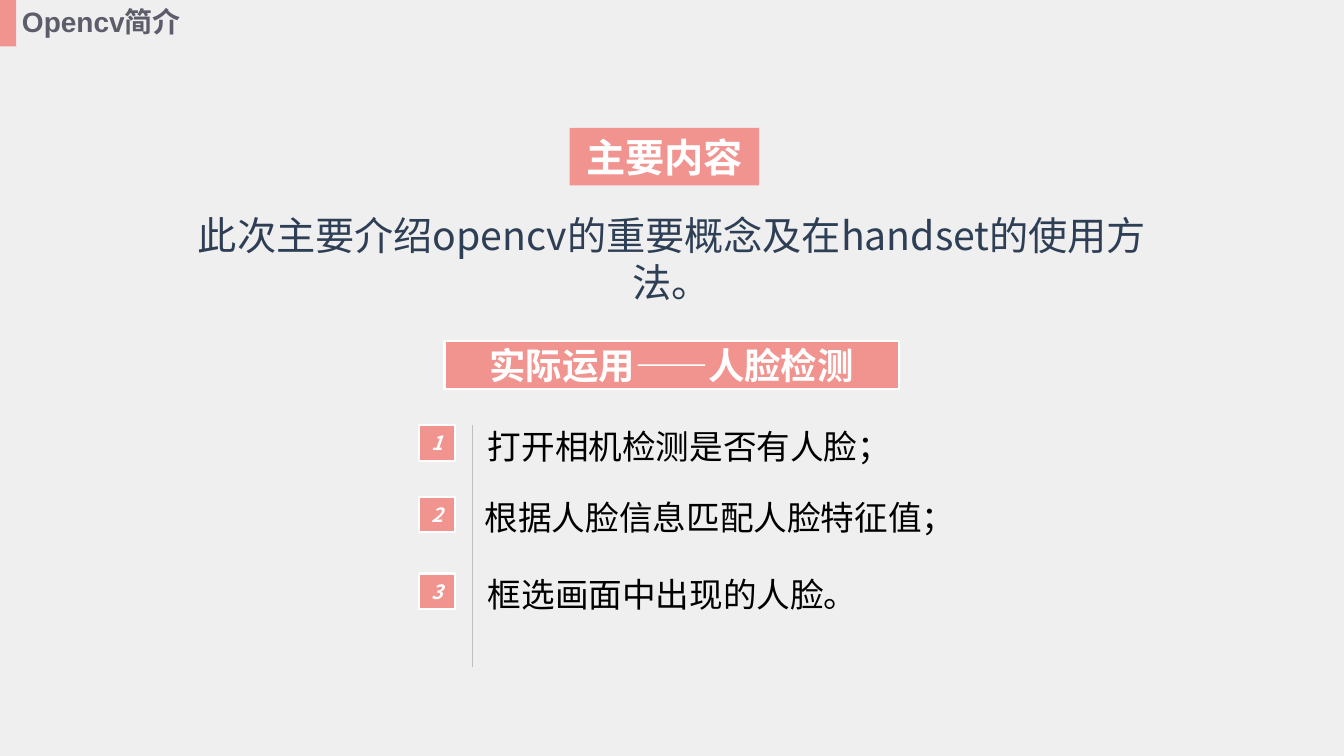
from lxml import etree
from pptx import Presentation
from pptx.dml.color import RGBColor
from pptx.enum.shapes import MSO_CONNECTOR, MSO_SHAPE
from pptx.enum.text import MSO_ANCHOR, PP_ALIGN
from pptx.oxml.ns import qn
from pptx.util import Inches, Pt

RECT = MSO_SHAPE.RECTANGLE
LINE = MSO_CONNECTOR.STRAIGHT
TOP, MIDDLE = MSO_ANCHOR.TOP, MSO_ANCHOR.MIDDLE
LEFT, CENTER = PP_ALIGN.LEFT, PP_ALIGN.CENTER

WIDE, HIGH = Inches(13.33), Inches(7.5)
SANS = "Noto Sans CJK SC"
COLORS = {
    "back": "EFEFEF",
    "coral": "F19490",
    "white": "FFFFFF",
    "title": "5C5C6A",
    "navy": "2E3F55",
    "rule": "BFBFBF",
    "black": "000000",
}
STEPS = [
    ("打开相机检测是否有人脸；", 35.56, 56.27),
    ("根据人脸信息匹配人脸特征值；", 35.33, 65.73),
    ("框选画面中出现的人脸。", 35.56, 75.87),
]


def color(name):
    return RGBColor.from_string(COLORS[name])


def across(share):
    return round(WIDE * share / 100)


def down(share):
    return round(HIGH * share / 100)


def place(x, y, w, h):
    return across(x), down(y), across(w), down(h)


def write(shape, text, size, tint, face=SANS, bold=False, italic=False,
          align=LEFT, anchor=TOP):
    frame = shape.text_frame
    frame.word_wrap = True
    frame.vertical_anchor = anchor
    frame.text = text
    para = frame.paragraphs[0]
    para.alignment = align
    for run in para.runs:
        font = run.font
        font.name, font.size = face, Pt(size)
        font.bold, font.italic = bold, italic
        font.color.rgb = color(tint)
        props = run._r.get_or_add_rPr()
        etree.SubElement(props, qn("a:ea")).set("typeface", face)


def block(slide, area, edge=False):
    shape = slide.shapes.add_shape(RECT, *place(*area))
    shape.shadow.inherit = False
    shape.fill.solid()
    shape.fill.fore_color.rgb = color("coral")
    if edge:
        shape.line.color.rgb = color("white")
        shape.line.width = Pt(1.5)
    else:
        shape.line.fill.background()
    return shape


def label(slide, area, text, size, tint, **style):
    box = slide.shapes.add_textbox(*place(*area))
    write(box, text, size, tint, **style)
    return box


def rule(slide, x, top, bottom):
    line = slide.shapes.add_connector(
        LINE, across(x), down(top), across(x), down(bottom))
    line.line.color.rgb = color("rule")
    line.line.width = Pt(0.25)
    etree.SubElement(line._element.spPr, qn("a:effectLst"))


def step(slide, num, text, x, y):
    badge = block(slide, (31.21, y, 2.63, 4.67), edge=True)
    write(badge, str(num), 14, "white", bold=True, italic=True,
          align=CENTER, anchor=MIDDLE)
    label(slide, (x, y - 0.6, 44.56, 6.67), text, 24, "black")


def main():
    deck = Presentation()
    deck.slide_width, deck.slide_height = WIDE, HIGH
    slide = deck.slides.add_slide(deck.slide_layouts[6])
    slide.background.fill.solid()
    slide.background.fill.fore_color.rgb = color("back")

    block(slide, (0, 0, 1.2, 6.13))
    label(slide, (0.9, 0, 21.75, 5.87), "Opencv简介", 20, "title",
          face="Arial", bold=True)

    topic = block(slide, (42.39, 16.93, 14.1, 7.6))
    write(topic, "主要内容", 28, "white", bold=True, align=CENTER)
    intro = label(slide, (13.65, 28, 72.69, 6.27),
                  "此次主要介绍opencv的重要概念及在handset的使用方法。",
                  28, "navy", align=CENTER).text_frame
    intro.margin_left = intro.margin_right = 0
    intro.margin_top = intro.margin_bottom = 0

    banner = block(slide, (33.08, 45.07, 33.83, 6.4), edge=True)
    write(banner, "实际运用——人脸检测", 26, "white", bold=True,
          align=CENTER, anchor=MIDDLE)
    rule(slide, 35.11, 56.27, 88.27)
    for num, (text, x, y) in enumerate(STEPS, 1):
        step(slide, num, text, x, y)

    deck.save("out.pptx")


if __name__ == "__main__":
    main()
